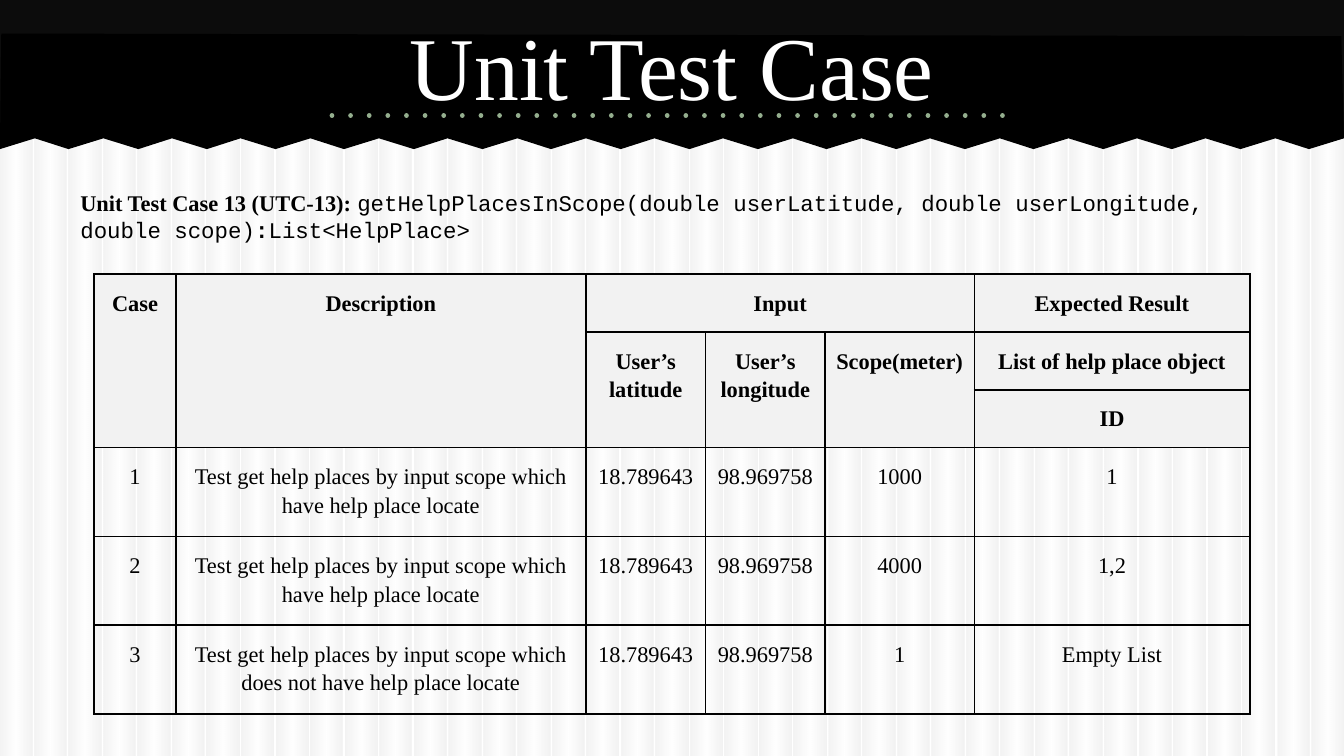
from dataclasses import dataclass

from lxml import etree
from pptx import Presentation
from pptx.dml.color import RGBColor
from pptx.enum.shapes import MSO_CONNECTOR, MSO_SHAPE
from pptx.enum.text import MSO_ANCHOR, PP_ALIGN
from pptx.oxml import parse_xml
from pptx.oxml.ns import nsdecls, qn
from pptx.util import Inches, Pt

RECTANGLE = MSO_SHAPE.RECTANGLE
STRAIGHT = MSO_CONNECTOR.STRAIGHT
CENTER, LEFT = PP_ALIGN.CENTER, PP_ALIGN.LEFT
MIDDLE, TOP = MSO_ANCHOR.MIDDLE, MSO_ANCHOR.TOP

WIDTH = 10
HEIGHT = WIDTH * 9 / 16
SERIF, MONO = "Times New Roman", "Courier New"
BLACK, WHITE, BAND, DOTS, HEADER = "000000", "FFFFFF", "0C0C0C", "94AE8E", "F2F2F2"
STRIPE_COUNT, STRIPE_WIDTH = 39, 0.24
STRIPE_STEP = 9.76 / (STRIPE_COUNT - 1)
TEETH = 39

COLUMNS = [0.61, 3.05, 0.89, 0.89, 1.11, 2.05]
ROWS = [0.31, 0.37, 0.32, 0.48, 0.48, 0.5]
TABLE_HEIGHT = 3.27
LATITUDE, LONGITUDE = "18.789643", "98.969758"


@dataclass
class Span:
    text: str
    font: str = SERIF
    size: float = 12
    bold: bool = False
    color: str = BLACK


@dataclass
class HeaderCell:
    row: int
    column: int
    text: str
    rows: int = 1
    columns: int = 1


@dataclass
class Case:
    scope: str
    expected: str
    outcome: str = "have"


HEADERS = [
    HeaderCell(0, 0, "Case", rows=3),
    HeaderCell(0, 1, "Description", rows=3),
    HeaderCell(0, 2, "Input", columns=3),
    HeaderCell(0, 5, "Expected Result"),
    HeaderCell(1, 2, "User’s latitude", rows=2),
    HeaderCell(1, 3, "User’s longitude", rows=2),
    HeaderCell(1, 4, "Scope(meter)", rows=2),
    HeaderCell(1, 5, "List of help place object"),
    HeaderCell(2, 5, "ID"),
]
CASES = [Case("1000", "1"), Case("4000", "1,2"), Case("1", "Empty List", "does not have")]


def rgb(color: str) -> RGBColor:
    return RGBColor.from_string(color)


def style_span(run, span: Span) -> None:
    run.font.name = span.font
    run.font.size = Pt(span.size)
    run.font.bold = span.bold
    run.font.color.rgb = rgb(span.color)


def fill_plain(shape, color: str) -> None:
    shape.shadow.inherit = False
    shape.fill.solid()
    shape.fill.fore_color.rgb = rgb(color)
    shape.line.fill.background()


def add_stripe(page, left: float) -> None:
    """Add a vertical stripe, faint grey at both edges and white in the middle."""
    stripe = page.shapes.add_shape(RECTANGLE, Inches(left), Inches(0.01),
                                   Inches(STRIPE_WIDTH), Inches(HEIGHT))
    fill_plain(stripe, WHITE)
    stops = "".join(
        f'<a:gs pos="{share * 1000}"><a:srgbClr val="{color}">'
        '<a:alpha val="19000"/></a:srgbClr></a:gs>'
        for share, color in [(0, "BFBFBF"), (50, WHITE), (97, "BFBFBF"), (100, "BFBFBF")])
    gradient = parse_xml(f'<a:gradFill {nsdecls("a")}><a:gsLst>{stops}</a:gsLst>'
                         '<a:lin ang="0" scaled="0"/></a:gradFill>')
    properties = stripe.element.spPr
    properties.replace(properties.find(qn("a:solidFill")), gradient)


def add_banner(page) -> None:
    """Add the dark band, its torn lower edge and the dotted rule."""
    band = page.shapes.add_shape(RECTANGLE, 0, 0, Inches(WIDTH), Inches(1.02))
    fill_plain(band, BAND)
    # The outline is counted in hundredths of an inch.
    edge = [(100 * WIDTH * tooth / TEETH, 103 if tooth % 2 else 111)
            for tooth in range(TEETH, -1, -1)]
    builder = page.shapes.build_freeform(1, 25, scale=Inches(0.01))
    builder.add_line_segments([(998, 27), *edge], close=True)
    fill_plain(builder.convert_to_shape(), BLACK)

    rule = page.shapes.add_connector(STRAIGHT, Inches(2.47), Inches(0.86),
                                     Inches(7.5), Inches(0.86))
    rule.line.color.rgb = rgb(DOTS)
    rule.line.width = Pt(2.5)
    outline = rule.line._get_or_add_ln()
    outline.set("cap", "rnd")
    etree.SubElement(outline, qn("a:prstDash"), val="dot")
    etree.SubElement(rule.element.spPr, qn("a:effectLst"))


def add_text(page, top: float, height: float, spans: list[Span], align=LEFT,
             anchor=TOP) -> None:
    box = page.shapes.add_textbox(Inches(0.05 * WIDTH), Inches(top),
                                  Inches(0.9 * WIDTH), Inches(height))
    frame = box.text_frame
    frame.word_wrap = True
    frame.vertical_anchor = anchor
    frame.margin_left = frame.margin_right = Inches(0.1)
    frame.margin_top = frame.margin_bottom = Inches(0.1)
    para = frame.paragraphs[0]
    para.alignment = align
    for span in spans:
        run = para.add_run()
        run.text = span.text
        style_span(run, span)


def style_cell(cell, header: bool) -> None:
    """Set margins, borders and fill of a table cell."""
    cell.margin_left = cell.margin_right = Inches(0.07)
    cell.margin_top = cell.margin_bottom = Inches(0.1)
    properties = cell._tc.get_or_add_tcPr()
    for side in ("lnL", "lnR", "lnT", "lnB"):
        properties.append(parse_xml(
            f'<a:{side} {nsdecls("a")} w="{Pt(1)}"><a:solidFill>'
            f'<a:srgbClr val="{BLACK}"/></a:solidFill></a:{side}>'))
    if header:
        cell.fill.solid()
        cell.fill.fore_color.rgb = rgb(HEADER)
    else:
        cell.fill.background()


def write_cell(cell, text: str, bold: bool = False) -> None:
    cell.text_frame.text = text
    para = cell.text_frame.paragraphs[0]
    para.alignment = CENTER
    para.line_spacing = 1.15
    style_span(para.runs[0], Span(text, bold=bold))


def add_case_table(page) -> None:
    frame = page.shapes.add_table(len(ROWS), len(COLUMNS), Inches(0.7), Inches(2.04),
                                  Inches(sum(COLUMNS)), Inches(TABLE_HEIGHT))
    table = frame.table
    table.first_row = table.horz_banding = False
    for column, width in zip(table.columns, COLUMNS):
        column.width = Inches(width)
    for index, height in enumerate(ROWS):
        table.rows[index].height = Inches(height)
        for cell in table.rows[index].cells:
            style_cell(cell, header=index < 3)
    frame.height = Inches(TABLE_HEIGHT)
    for header in HEADERS:
        cell = table.cell(header.row, header.column)
        if header.rows > 1 or header.columns > 1:
            cell.merge(table.cell(header.row + header.rows - 1,
                                  header.column + header.columns - 1))
        write_cell(cell, header.text, bold=True)
    for number, case in enumerate(CASES, start=1):
        description = f"Test get help places by input scope which {case.outcome} help place locate"
        values = [str(number), description, LATITUDE, LONGITUDE, case.scope, case.expected]
        for column, value in enumerate(values):
            write_cell(table.cell(number + 2, column), value)


def main() -> None:
    deck = Presentation()
    deck.slide_width, deck.slide_height = Inches(WIDTH), Inches(HEIGHT)
    page = deck.slides.add_slide(deck.slide_layouts[6])
    for index in range(STRIPE_COUNT):
        add_stripe(page, index * STRIPE_STEP)
    add_banner(page)
    add_text(page, 0.01, 0.94, [Span("Unit Test Case", size=48, color=WHITE)], CENTER, MIDDLE)
    add_text(page, 1.31, 3.97, [
        Span("Unit Test Case 13 (UTC-13): ", bold=True),
        Span("getHelpPlacesInScope(double userLatitude, double userLongitude, double scope)", MONO),
        Span(":", MONO, bold=True),
        Span("List<HelpPlace>", MONO),
    ])
    add_case_table(page)
    deck.save("out.pptx")


if __name__ == "__main__":
    main()
